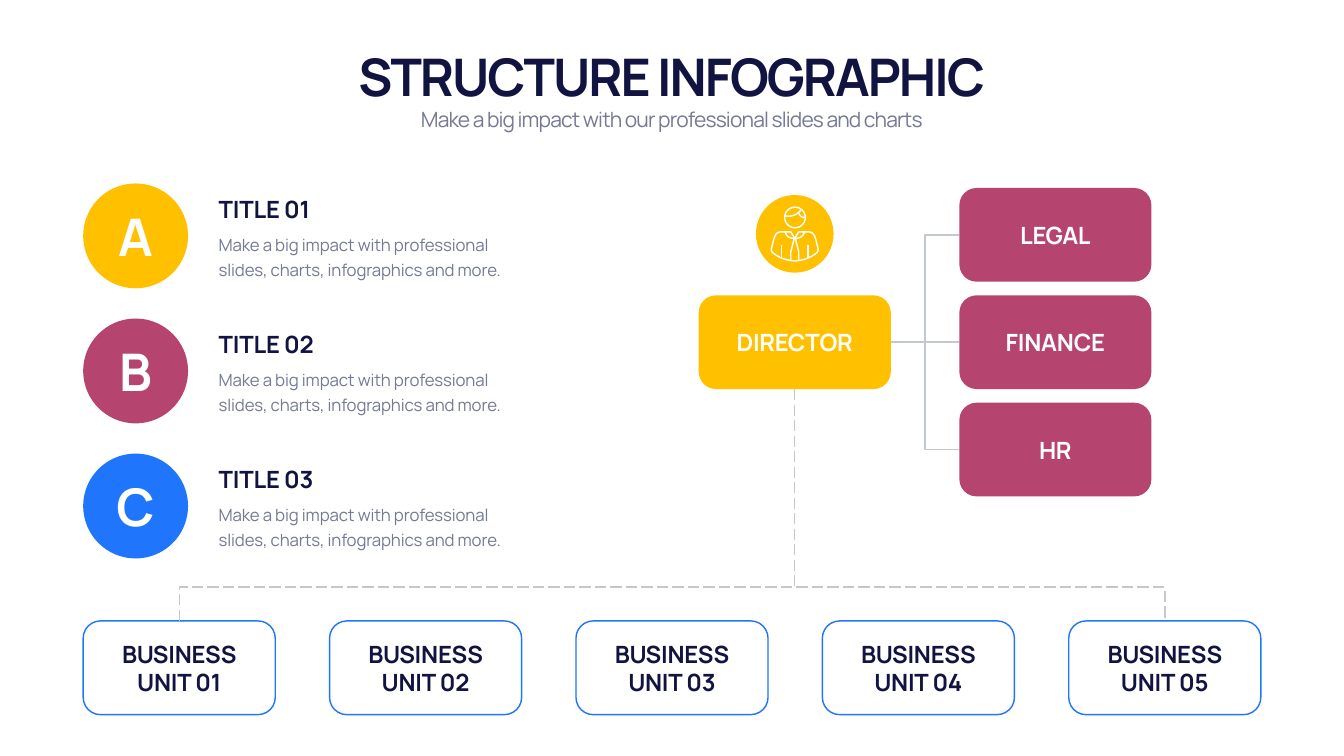
from lxml import etree
from pptx import Presentation
from pptx.enum import dml, shapes, text
from pptx.oxml.ns import qn
from pptx.util import Inches, Pt

# Content
TITLE = "STRUCTURE INFOGRAPHIC"
SUB = "Make a big impact with our professional slides and charts"
NOTE = "Make a big impact with professional slides, charts, infographics and more."
ITEMS = [("A", "TITLE 01", "gold"), ("B", "TITLE 02", "rose"), ("C", "TITLE 03", "blue")]
HEAD = "DIRECTOR"
TEAMS = ["LEGAL", "FINANCE", "HR"]
UNITS = [f"BUSINESS UNIT {n:02}" for n in range(1, 6)]

INK = {"gold": "FFC000", "rose": "B5446E", "blue": "2075FD", "navy": "111340",
       "gray": "747994", "rule": "C3C8CE", "white": "FFFFFF"}
FONT = "Manrope"
# size, bold, letter spacing in points
BIG, SMALL = (74, True, -2.9), (30, False, -1.2)
LABEL, BODY = (34, True, -0.3), (24, False, -0.2)

# Layout in inches
BOX_W, BOX_H = 3.81, 1.86
DISC, ITEM_Y, ITEM_GAP = 2.08, 3.64, 2.68
HEAD_X, TEAM_X, TEAM_Y, TEAM_GAP = 13.86, 19.03, 3.73, 2.13
UNIT_X, UNIT_END, UNIT_Y = 1.65, 25.01, 12.32
FORK_X, FORK_Y = 18.35, 11.65
ICON_D, ICON_Y = 1.54, 3.87

# Person icon, in inches from its centre: a pair is a line, six numbers a curve
HALF = [
    [(0, .09), (-.08, -.04), (-.25, -.04), (-.36, -.04, -.39, 0, -.43, .16),
     (-.46, .28), (-.47, .32, -.46, .36, -.43, .38), (-.33, .46, -.21, .51, -.08, .53),
     (-.05, .53, -.02, .54, 0, .54)],
    [(-.19, -.04), (-.17, .04, -.12, .09, 0, .09)],
    [(-.01, .09), (-.08, .36), (-.08, .52)],
    [(-.26, .22), (-.26, .48)],
]
HAIR = [
    [(-.2, -.36), (-.12, -.34, .01, -.34, .12, -.47)],
    [(.08, -.41), (.1, -.35, .14, -.33, .2, -.32)],
]

prs = Presentation()
prs.slide_width, prs.slide_height = Inches(26.66), Inches(15)
slide = prs.slides.add_slide(prs.slide_layouts[0])
tree = slide.shapes


def tint(name):
    return dml_rgb.from_string(INK[name])


def write(shape, words, style, color, anchor="MIDDLE", align="CENTER", inset=None, lead=1.0):
    frame = shape.text_frame
    frame.text = words
    frame.word_wrap = True
    frame.vertical_anchor = getattr(text.MSO_ANCHOR, anchor)
    if inset is not None:
        frame.margin_left = frame.margin_right = Inches(inset)
    para = frame.paragraphs[0]
    para.alignment = getattr(text.PP_ALIGN, align)
    para.line_spacing, para.space_before = lead, Pt(0)
    run = para.runs[0]
    size, bold, gap = style
    run.font.name, run.font.size, run.font.bold = FONT, Pt(size), bold
    run.font.color.rgb = tint(color)
    run._r.get_or_add_rPr().set("spc", str(round(gap * 100)))


def place(shape, x, y, w, h):
    shape.left, shape.top, shape.width, shape.height = map(Inches, (x, y, w, h))
    shape.text_frame.auto_size = text.MSO_AUTO_SIZE.SHAPE_TO_FIT_TEXT


def stroke(shape, color, dash=False):
    shape.line.color.rgb = tint(color)
    shape.line.width = Pt(2)
    if dash:
        shape.line.dash_style = dml.MSO_LINE.LONG_DASH


def draw(kind, x, y, w, h, fill=None, line=None):
    shape = tree.add_shape(kind, *map(Inches, (x, y, w, h)))
    shape.shadow.inherit = False
    if fill:
        shape.fill.solid()
        shape.fill.fore_color.rgb = tint(fill)
    else:
        shape.fill.background()
    if line:
        stroke(shape, line)
    else:
        shape.line.fill.background()
    return shape


def card(x, y, words, color, fill=None, line=None):
    shape = draw(shapes.MSO_SHAPE.ROUNDED_RECTANGLE, x, y, BOX_W, BOX_H, fill, line)
    shape.adjustments[0] = 0.184
    write(shape, words, LABEL, color, inset=0.2)
    return shape


def disc(x, y, size, fill=None, line=None):
    return draw(shapes.MSO_SHAPE.OVAL, x, y, size, size, fill, line)


def trace(paths, color, dash=False):
    pen = None
    for points in paths:
        (x, y), *rest = [(Inches(a), Inches(b)) for a, b in points]
        if pen is None:
            pen = tree.build_freeform(x, y, 1.0)
        else:
            pen.move_to(x, y)
        pen.add_line_segments(rest, close=False)
    shape = pen.convert_to_shape()
    shape.shadow.inherit = False
    shape.fill.background()
    stroke(shape, color, dash)


def wire(start, end, dash=False):
    line = tree.add_connector(shapes.MSO_CONNECTOR.STRAIGHT, *map(Inches, start + end))
    stroke(line, "rule", dash)
    etree.SubElement(line._element.spPr, qn("a:effectLst"))
    return line


def bend(path, cx, cy, side=1):
    """Turn lines and cubic curves into points around a centre."""
    out = [path[0]]
    for step in path[1:]:
        if len(step) == 2:
            out.append(step)
            continue
        ends = [out[-1], step[:2], step[2:4], step[4:]]
        for t in (n / 10 for n in range(1, 11)):
            mix = ((1 - t) ** 3, 3 * t * (1 - t) ** 2, 3 * t * t * (1 - t), t ** 3)
            out.append(tuple(sum(m * p[k] for m, p in zip(mix, ends)) for k in (0, 1)))
    return [(cx + side * x, cy + y) for x, y in out]


from pptx.dml.color import RGBColor as dml_rgb

# Heading
title, sub = slide.placeholders
place(title, 1.66, 0.82, 23.33, 1.35)
write(title, TITLE, BIG, "navy", "BOTTOM")
place(sub, 1.66, 2.07, 23.33, 0.61)
write(sub, SUB, SMALL, "gray", "TOP")

# Lettered list
for i, (mark, name, color) in enumerate(ITEMS):
    y = ITEM_Y + i * ITEM_GAP
    write(disc(UNIT_X, y, DISC, color), mark, BIG, "white", inset=0)
    for words, dy, h, style, ink, anchor, lead in [
            (name, 0.16, 0.67, LABEL, "navy", "BOTTOM", 1.0),
            (NOTE, 0.87, 1.09, BODY, "gray", "TOP", Pt(36))]:
        box = tree.add_textbox(0, 0, 0, 0)
        place(box, 4.24, y + dy, 6.47, h)
        write(box, words, style, ink, anchor, "LEFT", lead=lead)

# Director and teams
boss = card(HEAD_X, TEAM_Y + TEAM_GAP, HEAD, "white", "gold")
teams = [card(TEAM_X, TEAM_Y + i * TEAM_GAP, name, "white", "rose")
         for i, name in enumerate(TEAMS)]
top = TEAM_Y + BOX_H / 2
low = top + 2 * TEAM_GAP
trace([[(TEAM_X, low), (FORK_X, low), (FORK_X, top), (TEAM_X, top)]], "rule")
mid = top + TEAM_GAP
link = wire((HEAD_X + BOX_W, mid), (TEAM_X, mid))
link.begin_connect(boss, 3)
link.end_connect(teams[1], 1)

# Business units
pitch = (UNIT_END - BOX_W - UNIT_X) / (len(UNITS) - 1)
for i, name in enumerate(UNITS):
    card(UNIT_X + i * pitch, UNIT_Y, name, "navy", line="blue")
axis = HEAD_X + BOX_W / 2
first, last = UNIT_X + BOX_W / 2, UNIT_END - BOX_W / 2
wire((axis, TEAM_Y + TEAM_GAP + BOX_H), (axis, FORK_Y), True).begin_connect(boss, 2)
trace([[(first, UNIT_Y), (first, FORK_Y), (last, FORK_Y), (last, UNIT_Y)]], "rule", True)

# Person icon
hub = ICON_Y + ICON_D / 2
disc(axis - ICON_D / 2, ICON_Y, ICON_D, "gold")
disc(axis - 0.2, hub - 0.53, 0.41, line="white")
trace([bend(p, axis, hub, s) for s in (1, -1) for p in HALF]
      + [bend(p, axis, hub) for p in HAIR], "white")

prs.save("out.pptx")
